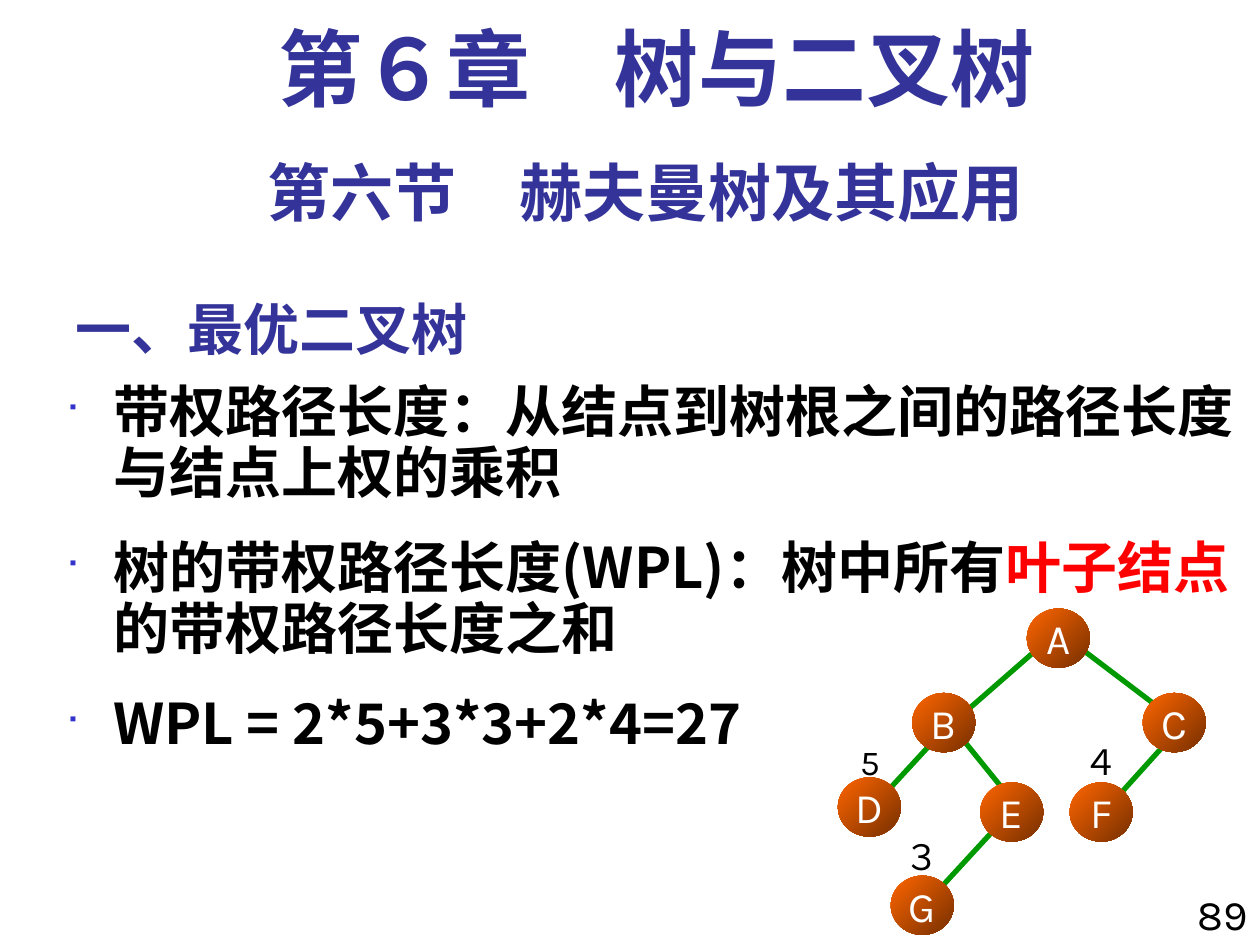
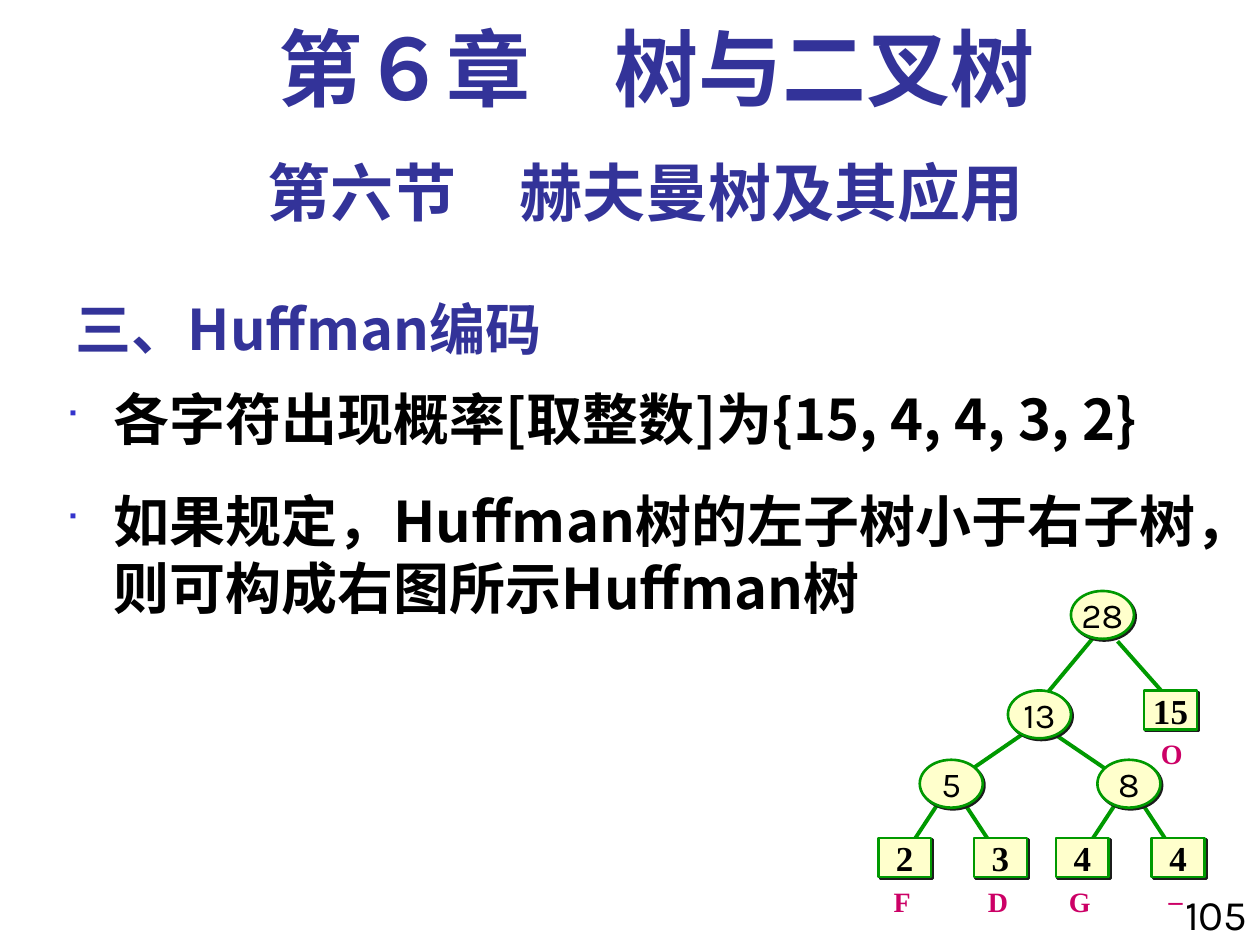
from dataclasses import dataclass

from lxml.etree import SubElement
from pptx import Presentation
from pptx.dml.color import RGBColor
from pptx.enum.shapes import MSO_CONNECTOR, MSO_SHAPE
from pptx.enum.text import MSO_ANCHOR as Anchor, MSO_AUTO_SIZE, PP_ALIGN as Align
from pptx.oxml.ns import qn
from pptx.util import Inches, Pt


@dataclass(frozen=True)
class Theme:
    heading: str = "333399"
    ink: str = "000000"
    white: str = "FFFFFF"
    accent: str = "FF0000"
    bullet: str = "3333CC"
    edge: str = "009900"
    node_light: str = "FF6600"
    node_dark: str = "762F00"
    code_node: str = "FFFFCC"
    code_shadow: str = "1C1C1C"
    symbol: str = "CC0066"
    cjk: str = "Noto Sans CJK SC"
    sans: str = "Karla"
    serif: str = "Times New Roman"
    chapter_size: int = 48
    section_size: int = 36
    text_size: int = 32
    node_size: int = 24
    weight_size: int = 20
    symbol_size: int = 16


theme = Theme()


def write(shape, paragraphs, size, font=theme.sans, color=theme.ink, bold=False,
          align=Align.CENTER, anchor=Anchor.TOP, wrap=True, side=0.1,
          line_spacing=None, gap=0, bullet=False):
    """Fill a shape with paragraphs, each a string or a list of (text, colour)."""
    frame = shape.text_frame
    frame.auto_size = MSO_AUTO_SIZE.NONE
    frame.word_wrap = wrap
    frame.vertical_anchor = anchor
    frame.margin_left = frame.margin_right = Inches(side)
    frame.margin_top = frame.margin_bottom = Inches(0.05)
    for index, content in enumerate(paragraphs):
        para = frame.add_paragraph() if index else frame.paragraphs[0]
        para.alignment = align
        para.line_spacing = line_spacing
        if index:
            para.space_before = Pt(gap)
        if bullet:
            props = para._p.get_or_add_pPr()
            props.set("marL", str(Inches(0.38)))
            props.set("indent", str(Inches(-0.38)))
            SubElement(SubElement(props, qn("a:buClr")), qn("a:srgbClr"), val=theme.bullet)
            SubElement(props, qn("a:buSzPct"), val="60000")
            SubElement(props, qn("a:buFont"), typeface="Wingdings")
            SubElement(props, qn("a:buChar"), char="■")
        for text, tint in [(content, color)] if isinstance(content, str) else content:
            span = para.add_run()
            span.text = text
            span.font.size = Pt(size)
            span.font.bold = bold
            span.font.name = font
            span.font.color.rgb = RGBColor.from_string(tint)
            SubElement(span._r.get_or_add_rPr(), qn("a:ea"), typeface=theme.cjk)


def add_edge(page, x1, y1, x2, y2, width):
    edge = page.shapes.add_connector(
        MSO_CONNECTOR.STRAIGHT, Inches(x1), Inches(y1), Inches(x2), Inches(y2))
    edge.line.color.rgb = RGBColor.from_string(theme.edge)
    edge.line.width = Pt(width)
    SubElement(edge._element.spPr, qn("a:effectLst"))


deck = Presentation()
deck.slide_width, deck.slide_height = Inches(10), Inches(7.5)

# Frame and bullets of both slides
lessons = [
    ("一、最优二叉树", "89", 0.9, [
        "带权路径长度：从结点到树根之间的路径长度与结点上权的乘积",
        [("树的带权路径长度(WPL)：树中所有", theme.ink),
         ("叶子结点", theme.accent),
         ("的带权路径长度之和", theme.ink)],
        "WPL = 2*5+3*3+2*4=27",
    ]),
    ("三、Huffman编码", "105", 1.0, [
        "各字符出现概率[取整数]为{15, 4, 4, 3, 2}",
        "如果规定，Huffman树的左子树小于右子树，则可构成右图所示Huffman树",
    ]),
]
pages = []
for heading, number, spacing, bullets in lessons:
    page = deck.slides.add_slide(deck.slide_layouts[5])
    pages.append(page)
    title = page.shapes.title
    title.left, title.top = Inches(0.5), Inches(2.17)
    title.width, title.height = Inches(6.25), Inches(0.75)
    write(title, [heading], theme.text_size, theme.cjk, theme.heading, True,
          align=Align.LEFT, anchor=Anchor.BOTTOM)

    number_box = page.shapes.add_textbox(Inches(9.11), Inches(7), Inches(0.89), Inches(0.59))
    write(number_box, [number], theme.node_size, align=Align.RIGHT)
    section = page.shapes.add_textbox(Inches(0.5), Inches(1.17), Inches(9.25), Inches(0.7))
    write(section, ["第六节　赫夫曼树及其应用"], theme.section_size,
          color=theme.heading, bold=True)
    body = page.shapes.add_textbox(Inches(0.42), Inches(3), Inches(9.58), Inches(4.5))
    write(body, bullets, theme.text_size, theme.cjk, bold=True, align=Align.LEFT,
          line_spacing=spacing, gap=20, bullet=True)
    chapter = page.shapes.add_textbox(Inches(0.67), Inches(0.17), Inches(9.08), Inches(0.83))
    write(chapter, ["第６章　树与二叉树"], theme.chapter_size, theme.serif,
          theme.heading, True, line_spacing=0.9)

wpl_page, huffman_page = pages

# Weighted binary tree
for ends in [
    (8.53, 5.11, 9.15, 5.58), (8.28, 5.11, 7.65, 5.66), (7.53, 5.75, 7.07, 6.25),
    (7.57, 5.78, 7.95, 6.25), (9.36, 5.78, 8.9, 6.29), (7.95, 6.52, 7.49, 7.02),
]:
    add_edge(wpl_page, *ends, width=3)

for name, left, top in [
    ("A", 8.15, 4.83), ("B", 7.24, 5.5), ("C", 9.07, 5.5), ("D", 6.65, 6.17),
    ("E", 7.78, 6.21), ("F", 8.49, 6.21), ("G", 7.07, 6.95),
]:
    node = wpl_page.shapes.add_shape(
        MSO_SHAPE.OVAL, Inches(left), Inches(top), Inches(0.5), Inches(0.47))
    node.shadow.inherit = False
    node.line.fill.background()
    node.fill.gradient()
    node.fill.gradient_angle = 315
    for stop, shade in zip(node.fill.gradient_stops, (theme.node_light, theme.node_dark)):
        stop.color.rgb = RGBColor.from_string(shade)
    write(node, [name], theme.node_size, color=theme.white,
          anchor=Anchor.MIDDLE, wrap=False, side=0)

for weight, left, top in [("5", 6.74, 5.83), ("３", 7.15, 6.58), ("４", 8.57, 5.83)]:
    label = wpl_page.shapes.add_textbox(Inches(left), Inches(top), Inches(0.33), Inches(0.44))
    write(label, [weight], theme.weight_size, side=0)

# Huffman tree: the two lower subtrees share one layout
edges = [(8.87, 5.09, 9.33, 5.61), (8.72, 5.01, 8.32, 5.49),
         (8.33, 5.8, 8.8, 6.12), (8.17, 5.79, 7.69, 6.12)]
inner_nodes = [("28", 8.5, 4.69), ("13", 8, 5.48)]
leaves = [("15", 9.08, 5.48)]
symbols = [("O", 9.3, 5.79)]
for left, total, pair in [(7.3, "5", [("2", "F"), ("3", "D")]),
                          (8.71, "8", [("4", "G"), ("4", "_")])]:
    inner_nodes.append((total, left, 6.03))
    for side, (weight, symbol) in zip((-1, 1), pair):
        center = left + 0.25
        edges.append((center + side * 0.08, 6.34, center + side * 0.33, 6.72))
        leaf_left = center - 0.2 + side * 0.38
        leaves.append((weight, leaf_left, 6.65))
        symbols.append((symbol, leaf_left + 0.19, 6.88 if symbol == "_" else 6.97))

for ends in edges:
    add_edge(huffman_page, *ends, width=2.25)

for kind, width, height, font, nodes in [
    (MSO_SHAPE.OVAL, 0.5, 0.38, theme.sans, inner_nodes),
    (MSO_SHAPE.RECTANGLE, 0.42, 0.31, theme.serif, leaves),
]:
    for weight, left, top in nodes:
        node = huffman_page.shapes.add_shape(
            kind, Inches(left), Inches(top), Inches(width), Inches(height))
        node.fill.solid()
        node.fill.fore_color.rgb = RGBColor.from_string(theme.code_node)
        node.line.color.rgb = RGBColor.from_string(theme.edge)
        node.line.width = Pt(1.5)
        node.shadow.inherit = False
        shadow = SubElement(node._element.spPr.find(qn("a:effectLst")), qn("a:outerShdw"),
                            dist=str(Pt(1.4)), dir="2700000", algn="ctr", rotWithShape="0")
        SubElement(shadow, qn("a:srgbClr"), val=theme.code_shadow)
        write(node, [weight], theme.weight_size, font, bold=font == theme.serif,
              anchor=Anchor.MIDDLE, wrap=False)

for symbol, center, top in symbols:
    label = huffman_page.shapes.add_textbox(
        Inches(center - 0.18), Inches(top), Inches(0.36), Inches(0.37))
    write(label, [symbol], theme.symbol_size, theme.serif, theme.symbol, True,
          anchor=Anchor.MIDDLE, wrap=False)

deck.save("out.pptx")
